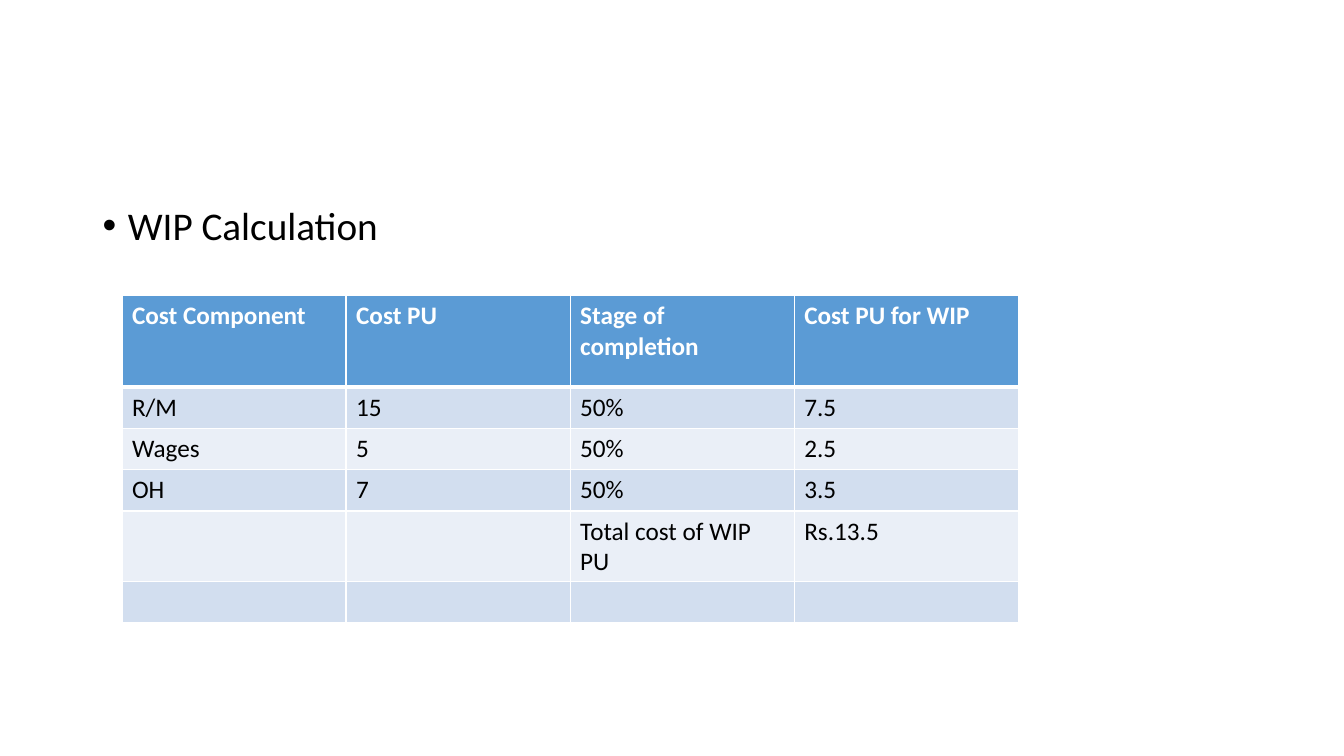
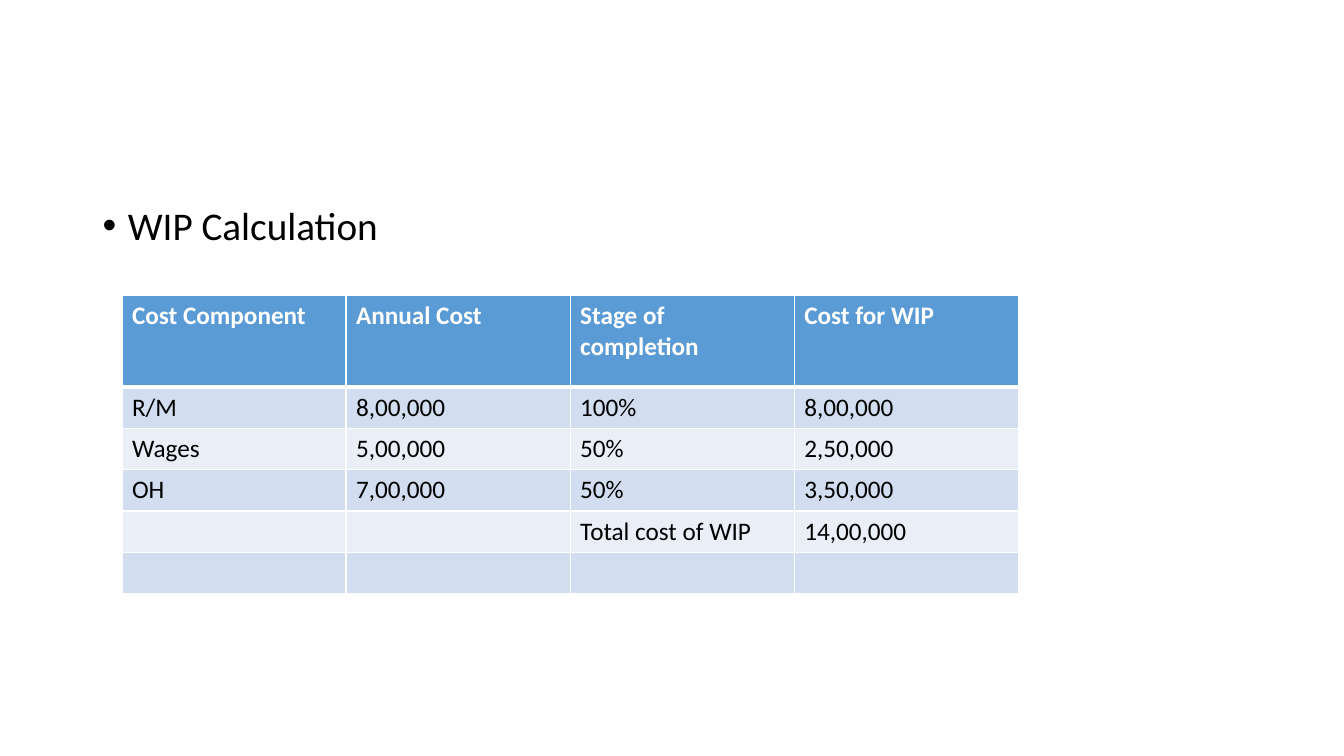
from lxml import etree
from pptx import Presentation
from pptx import util as u
from pptx.dml.color import RGBColor
from pptx.enum import text
from pptx.oxml.ns import qn


def color(value):
    return RGBColor.from_string(value)


class Deck:
    FONT = "Calibri"
    BLACK, WHITE = "000000", "FFFFFF"
    HEADER_FILL = "5B9BD5"
    BAND_FILLS = ("EAEFF7", "D2DEEF")
    THIN, THICK = 1, 3

    def __init__(self):
        self.presentation = Presentation()
        self.presentation.slide_width = u.Inches(13.33)
        self.presentation.slide_height = u.Inches(7.5)
        self.slide = None

    def add_slide(self):
        layout = self.presentation.slide_layouts[6]
        self.slide = self.presentation.slides.add_slide(layout)

    def style(self, paragraph, size, font_color, bold=False):
        font = paragraph.font
        values = {"name": self.FONT, "size": u.Pt(size), "bold": bold}
        for name, value in values.items():
            setattr(font, name, value)
        font.color.rgb = color(font_color)

    def bullet(self, content, left, top, width, height):
        box = self.slide.shapes.add_textbox(*map(u.Inches, (left, top, width, height)))
        frame = box.text_frame
        frame.word_wrap = True
        frame.vertical_anchor = text.MSO_ANCHOR.TOP
        paragraph = frame.paragraphs[0]
        paragraph.text = content
        paragraph.line_spacing = 0.9
        properties = paragraph._p.get_or_add_pPr()
        properties.set("marL", str(u.Inches(0.25)))
        properties.set("indent", str(-u.Inches(0.25)))
        etree.SubElement(properties, qn("a:buFont"), typeface="Arial")
        etree.SubElement(properties, qn("a:buChar"), char="•")
        self.style(paragraph, 28, self.BLACK)

    def borders(self, cell, top, bottom):
        properties = cell._tc.get_or_add_tcPr()
        widths = {"L": self.THIN, "R": self.THIN, "T": top, "B": bottom}
        for side, width in widths.items():
            line = etree.SubElement(properties, qn(f"a:ln{side}"), w=str(u.Pt(width)))
            fill = etree.SubElement(line, qn("a:solidFill"))
            etree.SubElement(fill, qn("a:srgbClr"), val=self.WHITE)

    def table(self, rows, left, top, width, header_height, row_height):
        height = header_height + row_height * (len(rows) - 1)
        frame = self.slide.shapes.add_table(
            len(rows), len(rows[0]), *map(u.Inches, (left, top, width, height)))
        table = frame.table
        for index, row in enumerate(rows):
            header = index == 0
            table.rows[index].height = u.Inches(header_height if header else row_height)
            for column, content in enumerate(row):
                cell = table.cell(index, column)
                # Borders come before the fill in the cell properties
                self.borders(cell, self.THICK if index == 1 else self.THIN,
                             self.THICK if header else self.THIN)
                cell.fill.solid()
                cell.fill.fore_color.rgb = color(
                    self.HEADER_FILL if header else self.BAND_FILLS[index % 2])
                cell.text = content
                self.style(cell.text_frame.paragraphs[0], 18,
                           self.WHITE if header else self.BLACK, header)


# Table contents, one list per slide
UNIT_COST = [
    ("Cost Component", "Cost PU", "Stage of completion", "Cost PU for WIP"),
    ("R/M", "15", "50%", "7.5"),
    ("Wages", "5", "50%", "2.5"),
    ("OH", "7", "50%", "3.5"),
    ("", "", "Total cost of WIP PU", "Rs.13.5"),
    ("", "", "", ""),
]
ANNUAL_COST = [
    ("Cost Component", "Annual Cost", "Stage of completion", "Cost for WIP"),
    ("R/M", "8,00,000", "100%", "8,00,000"),
    ("Wages", "5,00,000", "50%", "2,50,000"),
    ("OH", "7,00,000", "50%", "3,50,000"),
    ("", "", "Total cost of WIP", "14,00,000"),
    ("", "", "", ""),
]


def main():
    deck = Deck()
    for rows in (UNIT_COST, ANNUAL_COST):
        deck.add_slide()
        deck.bullet("WIP Calculation", 0.92, 2, 11.5, 4.76)
        deck.table(rows, 1.21, 2.93, 8.89, 0.91, 0.41)
    deck.presentation.save("out.pptx")


if __name__ == "__main__":
    main()
